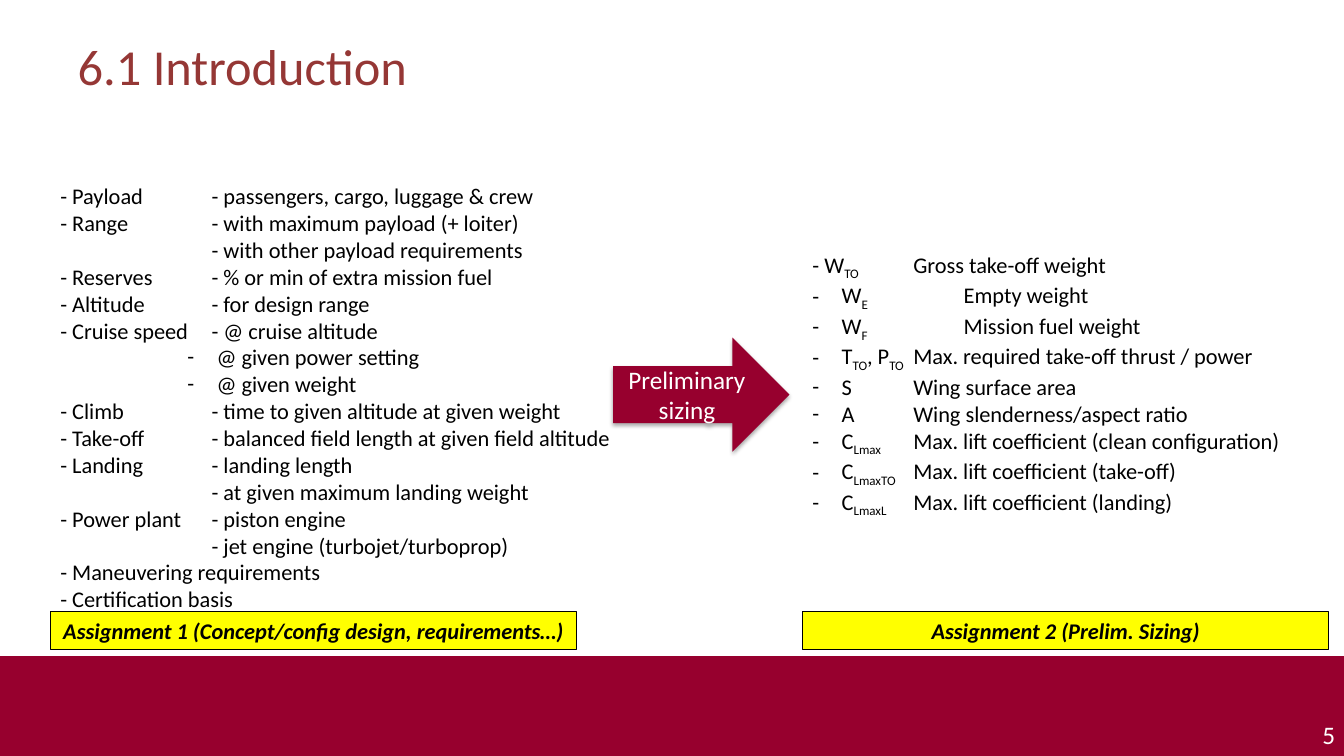
from lxml import etree
from pptx import Presentation
from pptx import util as u
from pptx.dml.color import RGBColor
from pptx.enum import shapes, text
from pptx.oxml import ns

BLACK = RGBColor(0x00, 0x00, 0x00)
WHITE = RGBColor(0xFF, 0xFF, 0xFF)
CRIMSON = RGBColor(0x97, 0x00, 0x2E)
BRICK = RGBColor(0x95, 0x37, 0x35)
YELLOW = RGBColor(0xFF, 0xFF, 0x00)
FONT = "Calibri"
HANG = 0.24  # room for a dash bullet

# Each line: text with | around subscripts, and its bullet margin or None
REQUIREMENTS = [
    ("- Payload\t\t- passengers, cargo, luggage & crew", None),
    ("- Range\t\t- with maximum payload (+ loiter)", None),
    ("\t\t\t- with other payload requirements", None),
    ("- Reserves\t\t- % or min of extra mission fuel", None),
    ("- Altitude\t\t- for design range", None),
    ("- Cruise speed\t- @ cruise altitude", None),
    (" @ given power setting", 1.5),
    (" @ given weight", 1.5),
    ("- Climb\t\t- time to given altitude at given weight", None),
    ("- Take-off\t\t- balanced field length at given field altitude", None),
    ("- Landing\t\t- landing length", None),
    ("\t\t\t- at given maximum landing weight", None),
    ("- Power plant\t- piston engine", None),
    ("\t\t\t- jet engine (turbojet/turboprop)", None),
    ("- Maneuvering requirements", None),
    ("- Certification basis", None),
]
RESULTS = [
    ("- W|TO| \tGross take-off weight", None),
    (" W|E| \t\tEmpty weight", HANG),
    (" W|F| \t\tMission fuel weight", HANG),
    (" T|TO|, P|TO| \tMax. required take-off thrust / power", HANG),
    (" S\t\tWing surface area", HANG),
    (" A\t\tWing slenderness/aspect ratio", HANG),
    (" C|Lmax|\tMax. lift coefficient (clean configuration)", HANG),
    (" C|LmaxTO|\tMax. lift coefficient (take-off)", HANG),
    (" C|LmaxL|\tMax. lift coefficient (landing)", HANG),
]


def write(p, content, size=16, color=BLACK, bold=False, italic=False,
          align=text.PP_ALIGN.LEFT, bullet=None):
    """Fill a paragraph; every second part between bars is a subscript."""
    p.alignment = align
    if bullet is not None:
        pPr = p._p.get_or_add_pPr()
        pPr.set("marL", str(u.Inches(bullet)))
        pPr.set("indent", str(u.Inches(-HANG)))
        etree.SubElement(pPr, ns.qn("a:buFont")).set("typeface", FONT)
        etree.SubElement(pPr, ns.qn("a:buChar")).set("char", "-")
    for i, part in enumerate(content.split("|")):
        r = p.add_run()
        r.text = part
        r.font.name, r.font.size = FONT, u.Pt(size)
        r.font.bold, r.font.italic = bold, italic
        r.font.color.rgb = color
        if i % 2:
            r.font._element.set("baseline", "-25000")


class Deck:
    def __init__(self):
        self.prs = Presentation()
        self.prs.slide_width = u.Inches(13.33)
        self.prs.slide_height = u.Inches(7.5)
        self.s = self.prs.slides.add_slide(self.prs.slide_layouts[5])

    def title(self, content, x, y, w, h):
        sp = self.s.shapes.title
        sp.left, sp.top = u.Inches(x), u.Inches(y)
        sp.width, sp.height = u.Inches(w), u.Inches(h)
        sp.text_frame.vertical_anchor = text.MSO_ANCHOR.TOP
        write(sp.text_frame.paragraphs[0], content, size=36, color=BRICK)

    def lines(self, items, x, y, w, h, **fmt):
        sp = self.s.shapes.add_textbox(*map(u.Inches, (x, y, w, h)))
        tf = sp.text_frame
        tf.word_wrap = True
        for i, (content, bullet) in enumerate(items):
            p = tf.add_paragraph() if i else tf.paragraphs[0]
            write(p, content, bullet=bullet, **fmt)

    def shape(self, kind, x, y, w, h, fill, content="", line=None, **fmt):
        sp = self.s.shapes.add_shape(kind, *map(u.Inches, (x, y, w, h)))
        sp.shadow.inherit = False
        sp.fill.solid()
        sp.fill.fore_color.rgb = fill
        if line is None:
            sp.line.fill.background()
        else:
            sp.line.color.rgb = line
            sp.line.width = u.Pt(0.75)
        if content:
            tf = sp.text_frame
            tf.word_wrap = True
            tf.vertical_anchor = text.MSO_ANCHOR.MIDDLE
            write(tf.paragraphs[0], content, align=text.PP_ALIGN.CENTER, **fmt)
        return sp

    def drop_shadow(self, sp):
        effects = sp._element.spPr.find(ns.qn("a:effectLst"))
        shadow = etree.SubElement(effects, ns.qn("a:outerShdw"), blurRad=str(u.Pt(3.1)),
                                  dist=str(u.Pt(1.8)), dir="5400000", rotWithShape="0")
        color = etree.SubElement(shadow, ns.qn("a:srgbClr"), val="000000")
        etree.SubElement(color, ns.qn("a:alpha"), val="35000")


def main():
    deck = Deck()
    kinds = shapes.MSO_SHAPE

    # Footer band and slide number
    deck.shape(kinds.RECTANGLE, 0, 6.51, 13.33, 0.99, CRIMSON)
    deck.lines([("5", None)], 12.63, 7.09, 0.71, 0.4, size=18, color=WHITE,
               align=text.PP_ALIGN.RIGHT)

    # Title and the two lists
    deck.title("6.1 Introduction", 0.67, 0.3, 12, 1.25)
    deck.lines(REQUIREMENTS, 0.5, 1.76, 5.73, 4.41)
    deck.lines(RESULTS, 7.96, 2.44, 5.02, 2.52)

    # Arrow from requirements to results
    arrow = deck.shape(kinds.RIGHT_ARROW, 6.08, 3.35, 1.75, 1.13, CRIMSON,
                       "Preliminary sizing", size=18, color=WHITE)
    deck.drop_shadow(arrow)

    # Assignment labels
    for x, label in ((7.96, "Assignment 2 (Prelim. Sizing)"),
                     (0.5, "Assignment 1 (Concept/config design, requirements…)")):
        deck.shape(kinds.RECTANGLE, x, 6.07, 5.22, 0.37, YELLOW, label,
                   line=BLACK, bold=True, italic=True)

    deck.prs.save("out.pptx")


if __name__ == "__main__":
    main()
